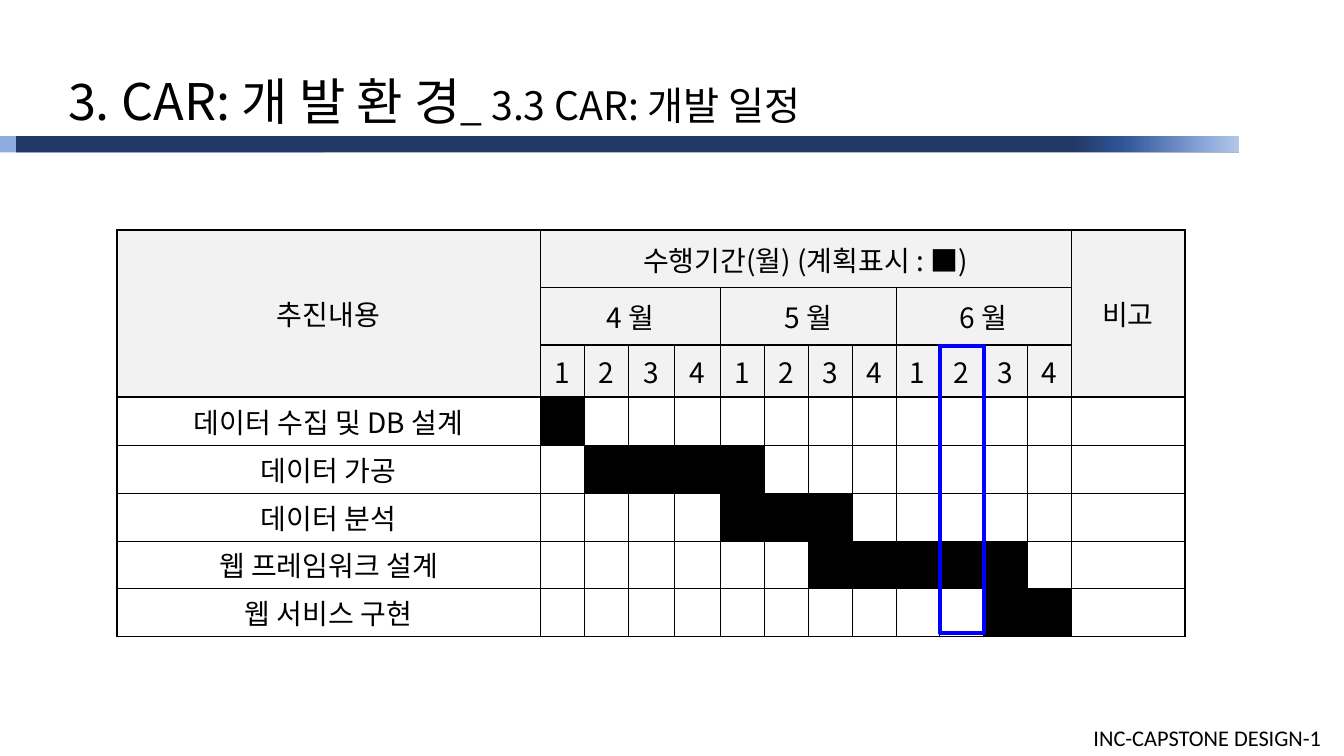
"""Build the development schedule slide with its Gantt table."""
from lxml import etree
from pptx import Presentation
from pptx.dml.color import RGBColor
from pptx.enum import shapes, text
from pptx.oxml import ns
from pptx.util import Pt

BLACK = RGBColor(0x00, 0x00, 0x00)
HEADER_GREY = RGBColor(0xF2, 0xF2, 0xF2)
NAVY = RGBColor(0x20, 0x38, 0x64)
LIGHT_BLUE = RGBColor(0x8F, 0xAA, 0xDC)
MID_BLUE = RGBColor(0x2F, 0x55, 0x97)
PALE_BLUE = RGBColor(0xB4, 0xC7, 0xE7)
MARKER_BLUE = RGBColor(0x00, 0x00, 0xFF)
KOREAN_FONT = "Noto Sans CJK KR"
THIN, MEDIUM, THICK = 0.28, 1.41, 1.98


def add_span(para, words, size, font=KOREAN_FONT):
    span = para.add_run()
    span.text = words
    span.font.size = Pt(size)
    span.font.name = font
    span.font.color.rgb = BLACK
    east_asian = etree.SubElement(span.font._element, ns.qn("a:ea"))
    east_asian.set("typeface", font)


def add_border(cell, side, width):
    properties = cell._tc.get_or_add_tcPr()
    line = etree.SubElement(properties, ns.qn(f"a:ln{side}"), w=str(Pt(width)))
    fill = etree.SubElement(line, ns.qn("a:solidFill"))
    etree.SubElement(fill, ns.qn("a:srgbClr"), val=str(BLACK))


deck = Presentation()
deck.slide_width, deck.slide_height = Pt(960), Pt(540)
page = deck.slides.add_slide(deck.slide_layouts[5])

bars = []
for left, width, colour in [(0, 232, LIGHT_BLUE), (11.5, 873.5, NAVY), (764.6, 120.4, PALE_BLUE)]:
    bar = page.shapes.add_shape(
        shapes.MSO_SHAPE.RECTANGLE, Pt(left), Pt(97.3), Pt(width), Pt(11.5))
    bar.shadow.inherit = False
    bar.fill.solid()
    bar.fill.fore_color.rgb = colour
    bar.line.fill.background()
    bars.append(bar)

fade = bars[-1]
fade.fill.gradient()
fade.fill.gradient_angle = 180
stops = fade._element.spPr.find(ns.qn("a:gradFill")).find(ns.qn("a:gsLst"))
stops.clear()
for percent, colour in [(0, PALE_BLUE), (18, LIGHT_BLUE), (69, MID_BLUE), (100, NAVY)]:
    stop = etree.SubElement(stops, ns.qn("a:gs"), pos=str(percent * 1000))
    etree.SubElement(stop, ns.qn("a:srgbClr"), val=str(colour))

footer = page.shapes.add_textbox(Pt(774), Pt(513.4), Pt(180), Pt(26.6))
footer.text_frame.word_wrap = False
add_span(footer.text_frame.paragraphs[0], "INC-CAPSTONE DESIGN-1", 16, "Calibri")

title = page.shapes.title
title.left, title.top, title.width, title.height = Pt(26.6), Pt(46.1), Pt(644.4), Pt(51.1)
frame = title.text_frame
frame.auto_size = text.MSO_AUTO_SIZE.NONE
frame.vertical_anchor = text.MSO_ANCHOR.MIDDLE
frame.margin_left = Pt(22)
frame.margin_top = frame.margin_bottom = 0
para = frame.paragraphs[0]
para.alignment = text.PP_ALIGN.LEFT
add_span(para, "3. CAR: 개 발 환 경", 36)
add_span(para, "_ 3.3 CAR: 개발 일정", 28)

column_widths = [302.4, 31.3, 31.3, 33.1, 33.1] + [31.3] * 8 + [81.4]
row_heights = [41.2, 41.2, 37.1] + [34.2] * 5
schedule = page.shapes.add_table(
    len(row_heights), len(column_widths), Pt(83.5), Pt(164.2),
    Pt(sum(column_widths)), Pt(sum(row_heights))).table
schedule.first_row = schedule.horz_banding = False
for column, width in zip(schedule.columns, column_widths):
    column.width = Pt(width)
for row, height in zip(schedule.rows, row_heights):
    row.height = Pt(height)

labels = {(0, 0): "추진내용", (0, 1): "수행기간(월) (계획표시 : ■)", (0, 13): "비고"}
schedule.cell(0, 0).merge(schedule.cell(2, 0))
schedule.cell(0, 1).merge(schedule.cell(0, 12))
schedule.cell(0, 13).merge(schedule.cell(2, 13))
for number, month in enumerate(["4 월", "5 월", "6 월"]):
    first = 1 + 4 * number
    schedule.cell(1, first).merge(schedule.cell(1, first + 3))
    labels[1, first] = month
    for week in range(4):
        labels[2, first + week] = str(week + 1)

tasks = [("데이터 수집 및 DB 설계", 1, 1), ("데이터 가공", 2, 5), ("데이터 분석", 5, 7),
         ("웹 프레임워크 설계", 7, 11), ("웹 서비스 구현", 11, 12)]
planned = set()
for row, (task, start, end) in enumerate(tasks, 3):
    labels[row, 0] = task
    planned.update((row, week) for week in range(start, end + 1))

row_lines = [MEDIUM] * 3 + [THICK] + [THIN] * 4 + [MEDIUM]
column_lines = [MEDIUM] + [THIN] * 13 + [MEDIUM]
for row in range(len(row_heights)):
    for column in range(len(column_widths)):
        cell = schedule.cell(row, column)
        if cell.is_spanned:
            continue
        below = row + (cell.span_height if cell.is_merge_origin else 1)
        beyond = column + (cell.span_width if cell.is_merge_origin else 1)
        add_border(cell, "L", column_lines[column])
        add_border(cell, "R", column_lines[beyond])
        add_border(cell, "T", row_lines[row])
        add_border(cell, "B", row_lines[below])
        if row < 3 or (row, column) in planned:
            cell.fill.solid()
            cell.fill.fore_color.rgb = HEADER_GREY if row < 3 else BLACK
        else:
            cell.fill.background()
        if (row, column) in labels:
            cell.vertical_anchor = text.MSO_ANCHOR.MIDDLE
            cell.margin_left = cell.margin_right = Pt(12.2 if cell.is_merge_origin else 2.5)
            cell.margin_top = cell.margin_bottom = Pt(6.1 if cell.is_merge_origin else 2.5)
            para = cell.text_frame.paragraphs[0]
            para.alignment = text.PP_ALIGN.CENTER
            add_span(para, labels[row, column], 20)

marker = page.shapes.add_shape(
    shapes.MSO_SHAPE.RECTANGLE, Pt(671.3), Pt(247), Pt(31.7), Pt(205))
marker.shadow.inherit = False
marker.fill.background()
marker.line.color.rgb = MARKER_BLUE
marker.line.width = Pt(3)

deck.save("out.pptx")
